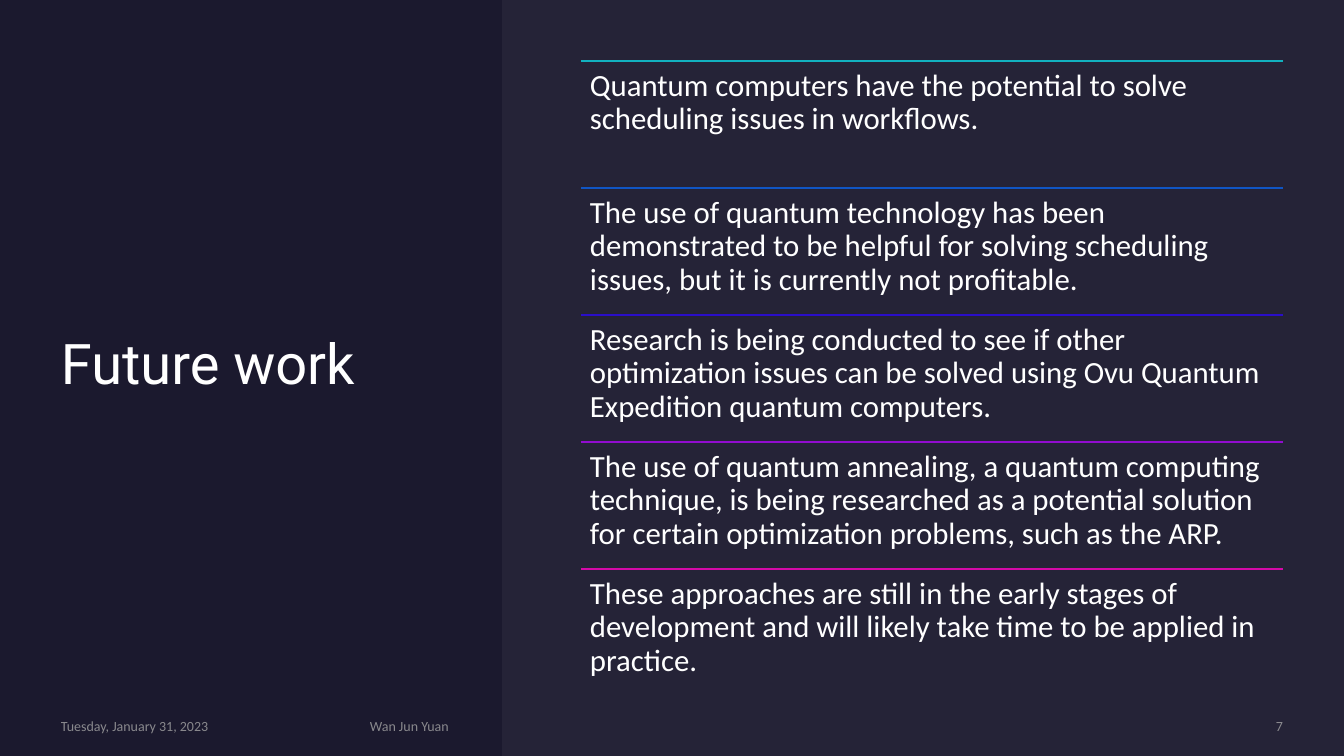
import dataclasses

import pptx
import pptx.dml.color
import pptx.enum.shapes
import pptx.enum.text
import pptx.oxml.ns
import pptx.oxml.xmlchemy
import pptx.util

PIXEL = 914400 / 100.8
ALIGN = pptx.enum.text.PP_ALIGN
ANCHOR = pptx.enum.text.MSO_ANCHOR


@dataclasses.dataclass(frozen=True)
class Theme:
    """Colours, fonts and type sizes of the slide."""
    background: str = "1B192E"
    panel: str = "E4E3F0"
    panel_opacity: int = 5
    text: str = "FFFFFF"
    footer: str = "A6A6A6"
    footer_opacity: int = 80
    rules: tuple = ("12B1BF", "1055C4", "2A0EC9", "910CCF", "D40AA8")
    title_font: str = "Roboto"
    body_font: str = "Calibri"
    title_size: int = 40
    body_size: int = 22
    footer_size: int = 10


THEME = Theme()

STATEMENTS = (
    "Quantum computers have the potential to solve scheduling issues in workflows.",
    "The use of quantum technology has been demonstrated to be helpful for solving "
    "scheduling issues, but it is currently not profitable.",
    "Research is being conducted to see if other optimization issues can be solved "
    "using Ovu Quantum Expedition quantum computers.",
    "The use of quantum annealing, a quantum computing technique, is being researched "
    "as a potential solution for certain optimization problems, such as the ARP.",
    "These approaches are still in the early stages of development and will likely "
    "take time to be applied in practice.",
)


def emu(*pixels):
    """Turn pixel lengths into a list of EMU lengths."""
    return [pptx.util.Emu(round(pixel * PIXEL)) for pixel in pixels]


def rgb(code):
    """Make a colour from its hexadecimal code."""
    return pptx.dml.color.RGBColor.from_string(code)


def set_opacity(element, percent):
    """Give every colour inside the element an opacity."""
    for color in element.iter(pptx.oxml.ns.qn("a:srgbClr")):
        alpha = pptx.oxml.xmlchemy.OxmlElement("a:alpha")
        alpha.set("val", str(percent * 1000))
        color.append(alpha)


def write_text(shape, text, font_name, size, color, inset=0,
               anchor=ANCHOR.MIDDLE, alignment=ALIGN.LEFT, line_spacing=1.0):
    """Fill a shape with one formatted paragraph and return the paragraph."""
    frame = shape.text_frame
    frame.text = text
    frame.word_wrap = True
    frame.auto_size = pptx.enum.text.MSO_AUTO_SIZE.NONE
    frame.vertical_anchor = anchor
    margin, = emu(inset)
    frame.margin_left = frame.margin_right = margin
    frame.margin_top = frame.margin_bottom = margin
    paragraph = frame.paragraphs[0]
    paragraph.alignment = alignment
    paragraph.line_spacing = line_spacing
    paragraph.font.name = font_name
    paragraph.font.size = pptx.util.Pt(size)
    paragraph.font.color.rgb = rgb(color)
    return paragraph


def add_panel(slide, left, top, width, height):
    """Lay a faint light panel behind the statements."""
    panel = slide.shapes.add_shape(
        pptx.enum.shapes.MSO_SHAPE.RECTANGLE, *emu(left, top, width, height))
    panel.shadow.inherit = False
    panel.fill.solid()
    panel.fill.fore_color.rgb = rgb(THEME.panel)
    panel.line.fill.background()
    set_opacity(panel._element.spPr, THEME.panel_opacity)


def place_title(slide, left, top, width, height):
    """Move the title placeholder into its box and write the title."""
    title = slide.shapes.title
    title.left, title.top, title.width, title.height = emu(left, top, width, height)
    write_text(title, "Future work", THEME.title_font, THEME.title_size,
               THEME.text, line_spacing=0.9)


def add_rule(slide, left, top, width, color):
    """Draw a thin horizontal line."""
    rule = slide.shapes.add_connector(
        pptx.enum.shapes.MSO_CONNECTOR.STRAIGHT, *emu(left, top, left + width, top))
    rule.line.color.rgb = rgb(color)
    rule.line.width = pptx.util.Pt(1)
    rule._element.spPr.append(pptx.oxml.xmlchemy.OxmlElement("a:effectLst"))


def add_statements(slide, left, top, width, height):
    """Stack the statements in equal rows, each under a coloured rule."""
    row_height = height / len(STATEMENTS)
    for index, (statement, color) in enumerate(zip(STATEMENTS, THEME.rules)):
        row_top = top + index * row_height
        add_rule(slide, left, row_top, width, color)
        box = slide.shapes.add_textbox(*emu(left, row_top, width, row_height))
        write_text(box, statement, THEME.body_font, THEME.body_size, THEME.text,
                   inset=9, anchor=ANCHOR.TOP, line_spacing=0.9)


def add_footer(slide, left, top, width, height):
    """Write date, author and slide number along the bottom."""
    entries = (
        ("Tuesday, January 31, 2023", 0, 290, ALIGN.LEFT),
        ("Wan Jun Yuan", 309, 704, ALIGN.LEFT),
        ("7", width - 186, 186, ALIGN.RIGHT),
    )
    for text, offset, entry_width, alignment in entries:
        box = slide.shapes.add_textbox(*emu(left + offset, top, entry_width, height))
        paragraph = write_text(box, text, THEME.body_font, THEME.footer_size,
                               THEME.footer, alignment=alignment)
        set_opacity(paragraph._p, THEME.footer_opacity)


def build_future_work(presentation, width, height):
    """Build the slide on the future work."""
    slide = presentation.slides.add_slide(presentation.slide_layouts[5])
    slide.background.fill.solid()
    slide.background.fill.fore_color.rgb = rgb(THEME.background)
    add_panel(slide, 502, 0, width - 502, height)
    place_title(slide, 61, 61, 393, 611)
    add_statements(slide, 581, 61, 702, 635)
    add_footer(slide, 61, 717, 1222, 17)


def main():
    """Create the presentation and save it."""
    presentation = pptx.Presentation()
    width, height = 1344, 756
    presentation.slide_width, presentation.slide_height = emu(width, height)
    build_future_work(presentation, width, height)
    presentation.save("out.pptx")


main()
